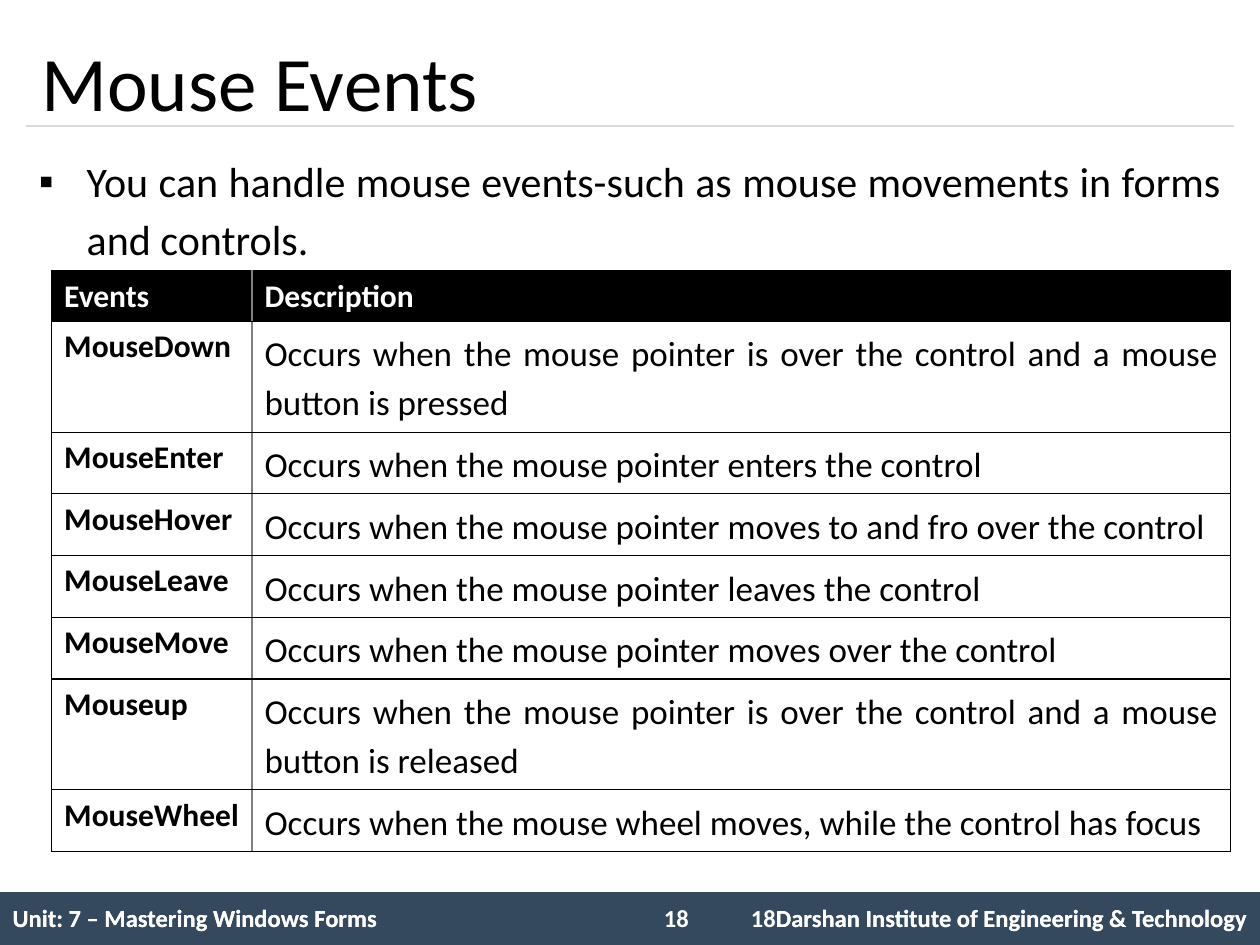
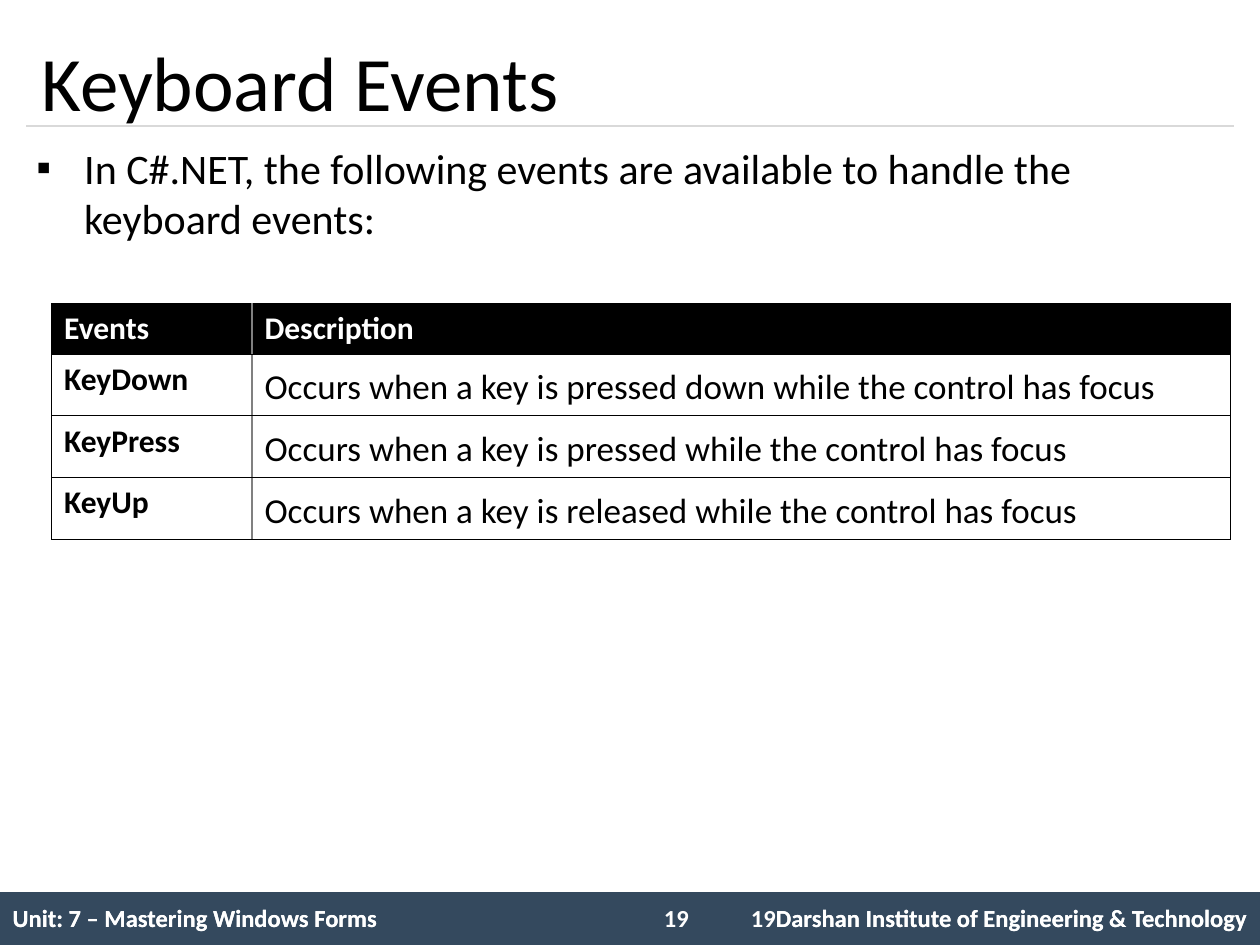
from lxml import etree
from pptx import Presentation
from pptx.dml.color import RGBColor
from pptx.enum.shapes import MSO_CONNECTOR as Connector, MSO_SHAPE as Shape
from pptx.enum.text import MSO_ANCHOR as Anchor, MSO_AUTO_SIZE as AutoSize, PP_ALIGN as Align
from pptx.oxml.ns import qn
from pptx.util import Emu, Pt

EMU_PER_PX = 9144
SLIDE_SIZE = (1000, 750)
FONT = "Calibri"
BLACK = RGBColor(0x00, 0x00, 0x00)
WHITE = RGBColor(0xFF, 0xFF, 0xFF)
NAVY = RGBColor(0x34, 0x49, 0x5E)
RULE_GRAY = RGBColor(0xD9, 0xD9, 0xD9)
DIVIDER_GRAY = RGBColor(0x80, 0x80, 0x80)
PLAIN_TABLE_STYLE = "{2D5ABB26-0587-4C30-8999-92F81FD0307C}"

TITLE_BOX = (23, 20, 958, 88)
FOOTER_BOX = (0, 708, 1000, 42)
UNIT_NAME = "Unit: 7 – Mastering Windows Forms"
INSTITUTE = "Darshan Institute of Engineering & Technology"
EVENT_COLUMNS = (159, 777)
HEADER_HEIGHT, ROW_HEIGHT, TALL_ROW_HEIGHT = 40, 49, 88
LINE_CAPACITY = 65
LOOSE_SPACING = 1.14
BORDER_WIDTH = 0.75

MOUSE_EVENTS = [
    ("MouseDown", "Occurs when the mouse pointer is over the control and a mouse button is pressed"),
    ("MouseEnter", "Occurs when the mouse pointer enters the control"),
    ("MouseHover", "Occurs when the mouse pointer moves to and fro over the control"),
    ("MouseLeave", "Occurs when the mouse pointer leaves the control"),
    ("MouseMove", "Occurs when the mouse pointer moves over the control"),
    ("Mouseup", "Occurs when the mouse pointer is over the control and a mouse button is released"),
    ("MouseWheel", "Occurs when the mouse wheel moves, while the control has focus"),
]
KEYBOARD_EVENTS = [
    ("KeyDown", "Occurs when a key is pressed down while the control has focus"),
    ("KeyPress", "Occurs when a key is pressed while the control has focus"),
    ("KeyUp", "Occurs when a key is released while the control has focus"),
]


def px(length):
    return Emu(length * EMU_PER_PX)


def px_box(box):
    return [px(length) for length in box]


def write(paragraph, text, size, color, bold=False, align=Align.LEFT, spacing=None):
    paragraph.alignment = align
    if spacing:
        paragraph.line_spacing = spacing
    run = paragraph.add_run()
    run.text = text
    run.font.name = FONT
    run.font.size = Pt(size)
    run.font.bold = bold
    run.font.color.rgb = color


def add_plain_table(slide, left, top, columns, heights):
    frame = slide.shapes.add_table(
        len(heights), len(columns), *px_box((left, top, sum(columns), sum(heights))))
    table = frame.table
    table.first_row = table.horz_banding = False
    table._tbl.tblPr.find(qn("a:tableStyleId")).text = PLAIN_TABLE_STYLE
    for column, width in zip(table.columns, columns):
        column.width = px(width)
    for row, height in zip(table.rows, heights):
        row.height = px(height)
    return table


def set_border(cell, side, color):
    properties = cell._tc.get_or_add_tcPr()
    line = etree.SubElement(properties, qn(f"a:ln{side}"), w=str(Pt(BORDER_WIDTH)))
    fill = etree.SubElement(line, qn("a:solidFill"))
    etree.SubElement(fill, qn("a:srgbClr"), val=str(color))


def add_title(slide, box, text):
    left, top, width, height = box
    title = slide.shapes.title
    title.left, title.top, title.width, title.height = px_box(box)
    title.text_frame.auto_size = AutoSize.NONE
    title.text_frame.vertical_anchor = Anchor.MIDDLE
    write(title.text_frame.paragraphs[0], text, 44, BLACK)
    rule_y = px(top + height - 8)
    rule = slide.shapes.add_connector(
        Connector.STRAIGHT, px(left - 2), rule_y, px(left + width - 2), rule_y)
    rule.line.color.rgb = RULE_GRAY
    rule.line.width = Pt(0.75)
    etree.SubElement(rule._element.spPr, qn("a:effectLst"))


def add_footer_table(slide, left, top, columns, texts):
    table = add_plain_table(slide, left, top, columns, [43])
    for index, (cell, text) in enumerate(zip(table.rows[0].cells, texts)):
        cell.fill.background()
        cell.vertical_anchor = Anchor.MIDDLE
        if text:
            align = Align.RIGHT if index else Align.LEFT
            write(cell.text_frame.paragraphs[0], text, 14, WHITE, True, align)


def add_footer(slide, box, number):
    left, top, width, height = box
    band = slide.shapes.add_shape(Shape.RECTANGLE, *px_box(box))
    band.shadow.inherit = False
    band.fill.solid()
    band.fill.fore_color.rgb = NAVY
    band.line.fill.background()

    add_footer_table(slide, left, top, (442, width - 442), (UNIT_NAME, f"{number}{INSTITUTE}"))
    add_footer_table(slide, left, top, (508, 67, width - 575), (UNIT_NAME, "", INSTITUTE))

    number_box = slide.shapes.add_textbox(*px_box((left + 517, top + 4, 58, 34)))
    number_box.text_frame.word_wrap = True
    write(number_box.text_frame.paragraphs[0], str(number), 14, WHITE, True)


def add_bullet(slide, box, text, align, spacing):
    frame = slide.shapes.add_textbox(*px_box(box)).text_frame
    frame.word_wrap = True
    paragraph = frame.paragraphs[0]
    properties = paragraph._p.get_or_add_pPr()
    properties.set("marL", str(px(38)))
    properties.set("indent", str(px(-38)))
    etree.SubElement(properties, qn("a:buFont"), typeface="Arial")
    etree.SubElement(properties, qn("a:buChar"), char="▪")
    write(paragraph, text, 24, BLACK, align=align, spacing=spacing)


def add_event_table(slide, left, top, events):
    heights = [HEADER_HEIGHT] + [
        TALL_ROW_HEIGHT if len(description) > LINE_CAPACITY else ROW_HEIGHT
        for _, description in events]
    table = add_plain_table(slide, left, top, EVENT_COLUMNS, heights)
    for row_index, texts in enumerate([("Events", "Description"), *events]):
        for column_index, text in enumerate(texts):
            cell = table.cell(row_index, column_index)
            inner_side = "R" if column_index == 0 else "L"
            for side in "LRTB":
                set_border(cell, side, DIVIDER_GRAY if side == inner_side else BLACK)
            paragraph = cell.text_frame.paragraphs[0]
            if row_index == 0:
                cell.fill.solid()
                cell.fill.fore_color.rgb = BLACK
                write(paragraph, text, 18, WHITE, True)
                continue
            cell.fill.background()
            if column_index == 0:
                write(paragraph, text, 18, BLACK, True)
            else:
                write(paragraph, text, 20, BLACK, align=Align.JUSTIFY, spacing=LOOSE_SPACING)


def add_event_slide(presentation, number, title, bullet_box, intro, align, spacing,
                    table_top, events):
    slide = presentation.slides.add_slide(presentation.slide_layouts.get_by_name("Title Only"))
    add_footer(slide, FOOTER_BOX, number)
    add_title(slide, TITLE_BOX, title)
    add_event_table(slide, 41, table_top, events)
    add_bullet(slide, bullet_box, intro, align, spacing)


def main():
    presentation = Presentation()
    presentation.slide_width, presentation.slide_height = px_box(SLIDE_SIZE)
    add_event_slide(
        presentation, 18, "Mouse Events", (21, 113, 958, 120),
        "You can handle mouse events-such as mouse movements in forms and controls.",
        Align.JUSTIFY, LOOSE_SPACING, 215, MOUSE_EVENTS)
    add_event_slide(
        presentation, 19, "Keyboard Events", (19, 108, 958, 120),
        "In C#.NET, the following events are available to handle the keyboard events:",
        Align.LEFT, None, 241, KEYBOARD_EVENTS)
    presentation.save("out.pptx")


if __name__ == "__main__":
    main()
